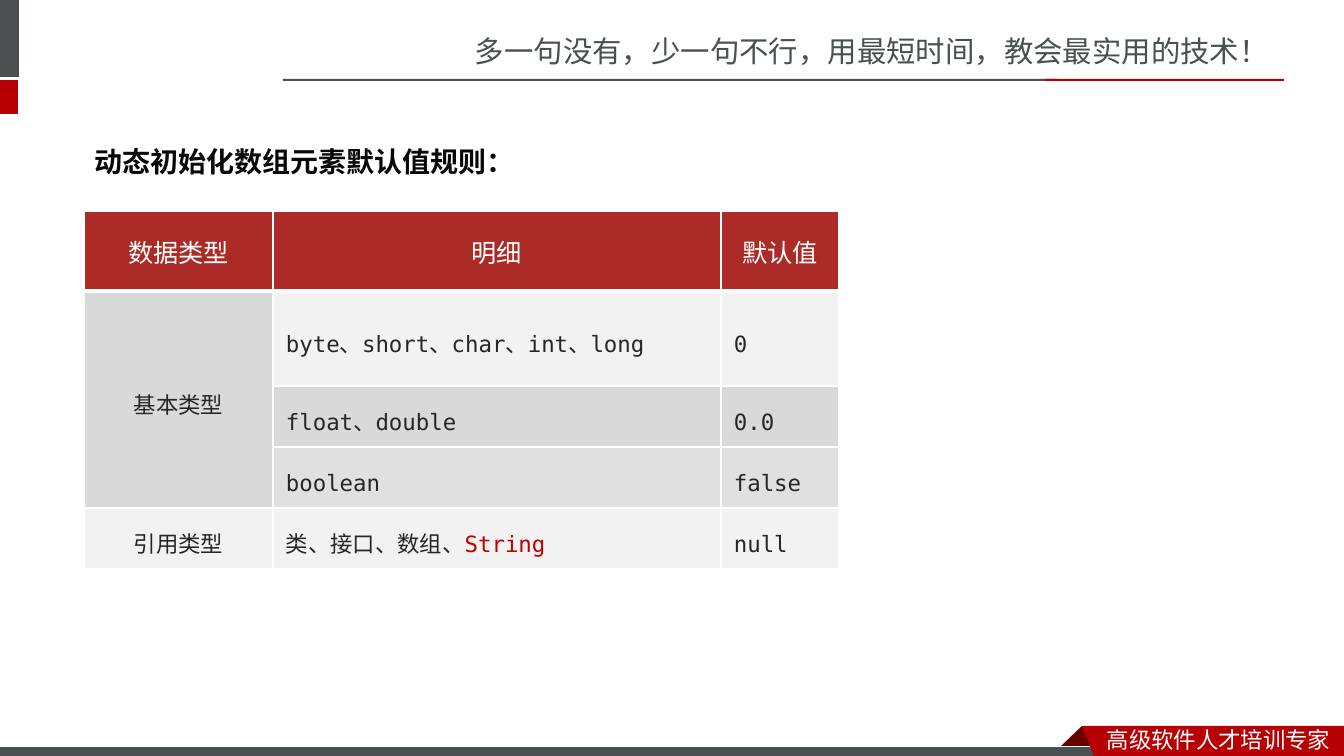
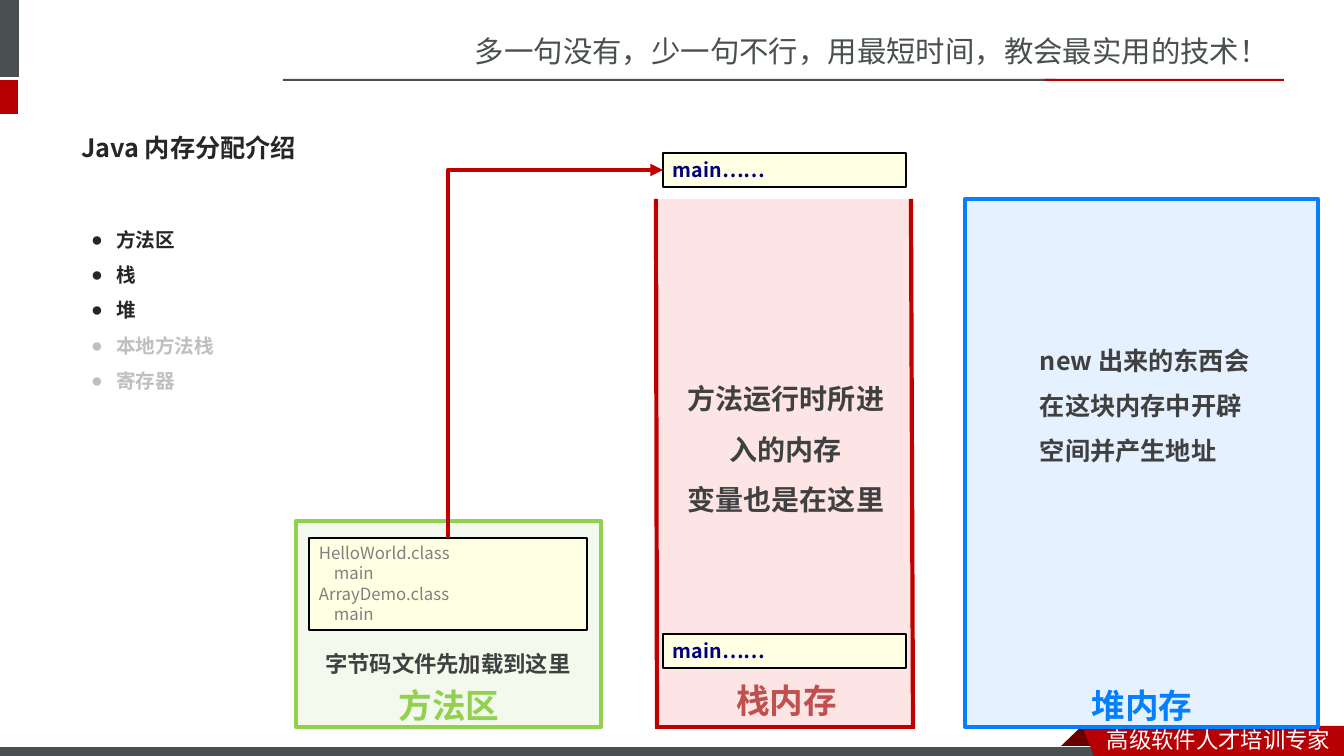
import lxml.etree
import pptx
import pptx.dml.color
import pptx.enum.shapes
import pptx.enum.text
import pptx.oxml.ns
import pptx.util

qn = pptx.oxml.ns.qn
Pt = pptx.util.Pt
SHAPE = pptx.enum.shapes.MSO_SHAPE
CONNECTOR = pptx.enum.shapes.MSO_CONNECTOR
ANCHOR = pptx.enum.text.MSO_ANCHOR
LEFT, CENTER = pptx.enum.text.PP_ALIGN.LEFT, pptx.enum.text.PP_ALIGN.CENTER

EMU_PER_PX = 914400 / 100.8
SANS, SLOGAN_FONT, MONO, HEAD_FONT = (
    "Noto Sans CJK JP", "Noto Sans CJK SC", "DejaVu Sans Mono", "Lato")
COLORS = {
    "slate": "49504F", "red": "B60004", "fold": "680000", "white": "FFFFFF",
    "header": "AD2B26", "light": "F2F2F2", "mid": "D9D9D9", "soft": "E0E0E0",
    "title": "080808", "ink": "262626", "text": "404040", "muted": "BFBFBF",
    "accent": "C00000", "heap": "047FFD", "stack": "FD0000",
    "stack_label": "C0504D", "method": "92D050", "note": "FFFFE4",
    "black": "000000", "grey": "808080", "navy": "000080",
}

# Content shared by the slides
SLOGAN = "多一句没有，少一句不行，用最短时间，教会最实用的技术！"
RIBBON_TEXT = "高级软件人才培训专家"
BARS = [  # box, fill
    ((-6, 0, 25, 77), "slate"), ((-6, 80, 24, 34), "red"),
    ((283, 79, 774, 2), "slate"), ((1045, 79, 239, 2), "red"),
]
FOLD = [(1082, 726), (1104, 748), (1103, 749), (1060, 749), (1059, 748)]
RIBBON = [(1082, 726), (1344, 726), (1344, 756), (1094, 756)]

# Content of the default value table
RULE_TITLE = "动态初始化数组元素默认值规则："
COLUMNS = [189, 448, 118]
ROWS = [80, 95, 61, 61, 61]
HEADER = ["数据类型", "明细", "默认值"]
BODY = [  # type, details, default, fill
    ("基本类型", "byte、short、char、int、long", "0", "light"),
    ("", "float、double", "0.0", "mid"),
    ("", "boolean", "false", "soft"),
    ("引用类型", "类、接口、数组、", "null", "light"),
]
HIGHLIGHT = "String"

# Content of the memory diagram
MEMORY_TITLE = "Java 内存分配介绍"
AREAS = [("方法区", "ink"), ("栈", "ink"), ("堆", "ink"),
         ("本地方法栈", "muted"), ("寄存器", "muted")]
REGIONS = [  # box, fill, outline
    ((965, 199, 353, 528), "heap", "heap"),
    ((659, 199, 254, 529), "stack", None),
    ((296, 521, 305, 206), "method", "method"),
]
STACK_WALLS = [(656, 199, 657, 727), (911, 199, 913, 728), (915, 727, 655, 727)]
LABELS = [  # box, lines, size, colour, alignment
    ((1073, 660, 138, 66), ["堆内存"], 24, "heap", CENTER),
    ((718, 655, 137, 66), ["栈内存"], 24, "stack_label", CENTER),
    ((294, 660, 310, 66), ["方法区"], 24, "method", CENTER),
    ((1030, 325, 234, 143), ["new 出来的东西会在这块内存中开辟空间并产生地址"], 18, "text", LEFT),
    ((675, 360, 222, 157), ["方法运行时所进入的内存", "变量也是在这里"], 20, "text", CENTER),
    ((293, 632, 310, 47), ["字节码文件先加载到这里"], 16, "text", CENTER),
]
CLASS_BOX = (309, 538, 278, 92)
CLASSES = ["HelloWorld.class", "main", "ArrayDemo.class", "main"]
FRAME_BOXES = [(663, 153, 243, 34), (663, 634, 243, 34)]
FRAME_TEXT = "main……"


def px(n):
    return pptx.util.Emu(round(n * EMU_PER_PX))


def rgb(name):
    return pptx.dml.color.RGBColor.from_string(COLORS[name])


def write(tf, lines, size, color, font=SANS, bold=False, align=LEFT,
          spacing=None, anchor=ANCHOR.TOP):
    tf.word_wrap = True
    tf.auto_size = pptx.enum.text.MSO_AUTO_SIZE.NONE
    tf.vertical_anchor = anchor
    for i, line in enumerate(lines):
        p = tf.add_paragraph() if i else tf.paragraphs[0]
        p.add_run().text = line
        p.alignment = align
        p.space_before = Pt(0)
        if spacing:
            p.line_spacing = spacing
        p.font.size, p.font.bold, p.font.name = Pt(size), bold, font
        p.font.color.rgb = rgb(color)
        east_asian = lxml.etree.Element(qn("a:ea"), typeface=font)
        p.font._rPr.find(qn("a:latin")).addnext(east_asian)


def place(sp, box):
    sp.left, sp.top, sp.width, sp.height = map(px, box)


def textbox(s, box, lines, size, color, **style):
    sp = s.shapes.add_textbox(*map(px, box))
    write(sp.text_frame, lines, size, color, **style)
    return sp


def paint(sp, fill, line=None, width=1.0, alpha=None):
    sp.shadow.inherit = False
    sp.fill.solid()
    sp.fill.fore_color.rgb = rgb(fill)
    if alpha:
        color = sp.element.spPr.find(qn("a:solidFill")).find(qn("a:srgbClr"))
        lxml.etree.SubElement(color, qn("a:alpha"), val=str(alpha * 1000))
    if line:
        sp.line.color.rgb = rgb(line)
        sp.line.width = Pt(width)
    else:
        sp.line.fill.background()
    return sp


def rectangle(s, box, *look, **more):
    return paint(s.shapes.add_shape(SHAPE.RECTANGLE, *map(px, box)), *look, **more)


def polygon(s, points, fill):
    (x, y), *rest = [(px(a), px(b)) for a, b in points]
    builder = s.shapes.build_freeform(x, y)
    builder.add_line_segments(rest)
    return paint(builder.convert_to_shape(), fill)


def connect(s, kind, ends):
    line = s.shapes.add_connector(kind, *map(px, ends))
    line.line.color.rgb = rgb("accent")
    line.line.width = Pt(3)
    lxml.etree.SubElement(line.element.spPr, qn("a:effectLst"))
    return line


def build_master(prs, s):
    """Draw the shared frame on a slide, then hand it to the master."""
    parts = [textbox(s, (465, 28, 879, 46), [SLOGAN], 21, "slate", font=SLOGAN_FONT)]
    parts += [rectangle(s, box, fill) for box, fill in BARS]
    parts += [
        polygon(s, FOLD, "fold"),
        rectangle(s, (-1, 747, 1109, 12), "slate", "white", 0.75),
        polygon(s, RIBBON, "red"),
        textbox(s, (1097, 721, 247, 37), [RIBBON_TEXT], 16, "white", font=SLOGAN_FONT),
    ]
    for number, part in enumerate(parts, 101):
        part.element.nvSpPr.cNvPr.set("id", str(number))
        prs.slide_master.shapes.element.append(part.element)


def set_borders(cell, bottom=1, top=1):
    tcPr = cell._tc.get_or_add_tcPr()
    widths = [("a:lnL", 1), ("a:lnR", 1), ("a:lnT", top), ("a:lnB", bottom)]
    for i, (tag, width) in enumerate(widths):
        ln = lxml.etree.Element(qn(tag), w=str(Pt(width)))
        fill = lxml.etree.SubElement(ln, qn("a:solidFill"))
        lxml.etree.SubElement(fill, qn("a:srgbClr"), val=COLORS["white"])
        tcPr.insert(i, ln)


def build_rules(s):
    place(s.shapes.title, (84, 123, 509, 56))
    write(s.shapes.title.text_frame, [RULE_TITLE], 20, "title", font=MONO,
          bold=True, spacing=1.5)

    # Table grid
    table = s.shapes.add_table(len(ROWS), len(COLUMNS), px(84), px(211),
                               px(sum(COLUMNS)), px(sum(ROWS))).table
    table.first_row = table.horz_banding = False
    for column, width in zip(table.columns, COLUMNS):
        column.width = px(width)
    for row, height in zip(table.rows, ROWS):
        row.height = px(height)
    table.cell(1, 0).merge(table.cell(3, 0))

    # Table cells
    for r, row in enumerate([(*HEADER, "header"), *BODY]):
        for c, text in enumerate(row[:3]):
            cell = table.cell(r, c)
            cell.fill.solid()
            grouped = c == 0 and 1 <= r <= 3
            cell.fill.fore_color.rgb = rgb("mid" if grouped else row[3])
            set_borders(cell, 3 if r == 0 else 1, 3 if r == 1 else 1)
            if r:
                cell.margin_left = cell.margin_right = px(13)
                cell.margin_top = cell.margin_bottom = px(7)
            if not text:
                continue
            if r == 0:
                style = dict(size=18, color="white", font=HEAD_FONT, spacing=Pt(24))
            else:
                style = dict(size=16, color="ink", font=MONO, spacing=1.5)
            write(cell.text_frame, [text], align=CENTER if r == 0 or c == 0 else LEFT,
                  **style)
            cell.vertical_anchor = ANCHOR.MIDDLE
    run = table.cell(4, 1).text_frame.paragraphs[0].add_run()
    run.text = HIGHLIGHT
    run.font.color.rgb = rgb("accent")


def build_memory(s):
    place(s.shapes.title, (71, 119, 1185, 57))
    write(s.shapes.title.text_frame, [MEMORY_TITLE], 18, "ink", bold=True,
          anchor=ANCHOR.MIDDLE)

    # Bulleted areas
    body = s.placeholders[1]
    place(body, (81, 211, 961, 185))
    write(body.text_frame, [name for name, _ in AREAS], 14, "ink", bold=True, spacing=1.5)
    for p, (_, color) in zip(body.text_frame.paragraphs, AREAS):
        p.font.color.rgb = rgb(color)
        pPr = p._p.get_or_add_pPr()
        pPr.set("marL", str(px(25)))
        pPr.set("indent", str(px(-25)))
        bullet_color = lxml.etree.Element(qn("a:buClr"))
        lxml.etree.SubElement(bullet_color, qn("a:srgbClr"), val=COLORS[color])
        p.font._rPr.addprevious(bullet_color)
        p.font._rPr.addprevious(lxml.etree.Element(qn("a:buChar"), char="●"))

    # Memory regions and the open-topped stack
    for box, fill, line in REGIONS:
        rectangle(s, box, fill, line, 3, alpha=10)
    for ends in STACK_WALLS:
        connect(s, CONNECTOR.STRAIGHT, ends)

    # Class files and stack frames
    classes = rectangle(s, CLASS_BOX, "note", "black")
    write(classes.text_frame, CLASSES, 12, "grey")
    for p in classes.text_frame.paragraphs[1::2]:
        p._p.get_or_add_pPr().set("marL", str(px(15)))
    frames = [rectangle(s, box, "note", "black") for box in FRAME_BOXES]
    for frame in frames:
        write(frame.text_frame, [FRAME_TEXT], 14, "navy", bold=True)

    for box, lines, size, color, align in LABELS:
        textbox(s, box, lines, size, color, bold=True, align=align, spacing=1.5)

    # Arrow with one bend: up from the class files, then right to the top frame
    x1, y1 = CLASS_BOX[0] + CLASS_BOX[2] / 2, CLASS_BOX[1]
    x2, y2 = FRAME_BOXES[0][0], FRAME_BOXES[0][1] + FRAME_BOXES[0][3] / 2
    arrow = connect(s, CONNECTOR.ELBOW, (x1, y1, x2, y2))
    arrow.begin_connect(classes, 0)
    arrow.end_connect(frames[0], 1)
    run, rise = x2 - x1, y1 - y2
    place(arrow, ((x1 + x2 - rise) / 2, (y1 + y2 - run) / 2, rise, run))
    spPr = arrow.element.spPr
    spPr.xfrm.flipV = False
    spPr.xfrm.set("rot", str(270 * 60000))
    spPr.find(qn("a:prstGeom")).set("prst", "bentConnector2")
    lxml.etree.SubElement(spPr.find(qn("a:ln")), qn("a:tailEnd"), type="triangle")


def main():
    prs = pptx.Presentation()
    prs.slide_width, prs.slide_height = px(1344), px(756)
    rules = prs.slides.add_slide(prs.slide_layouts[5])
    build_master(prs, rules)
    build_rules(rules)
    build_memory(prs.slides.add_slide(prs.slide_layouts[1]))
    prs.save("out.pptx")


if __name__ == "__main__":
    main()
